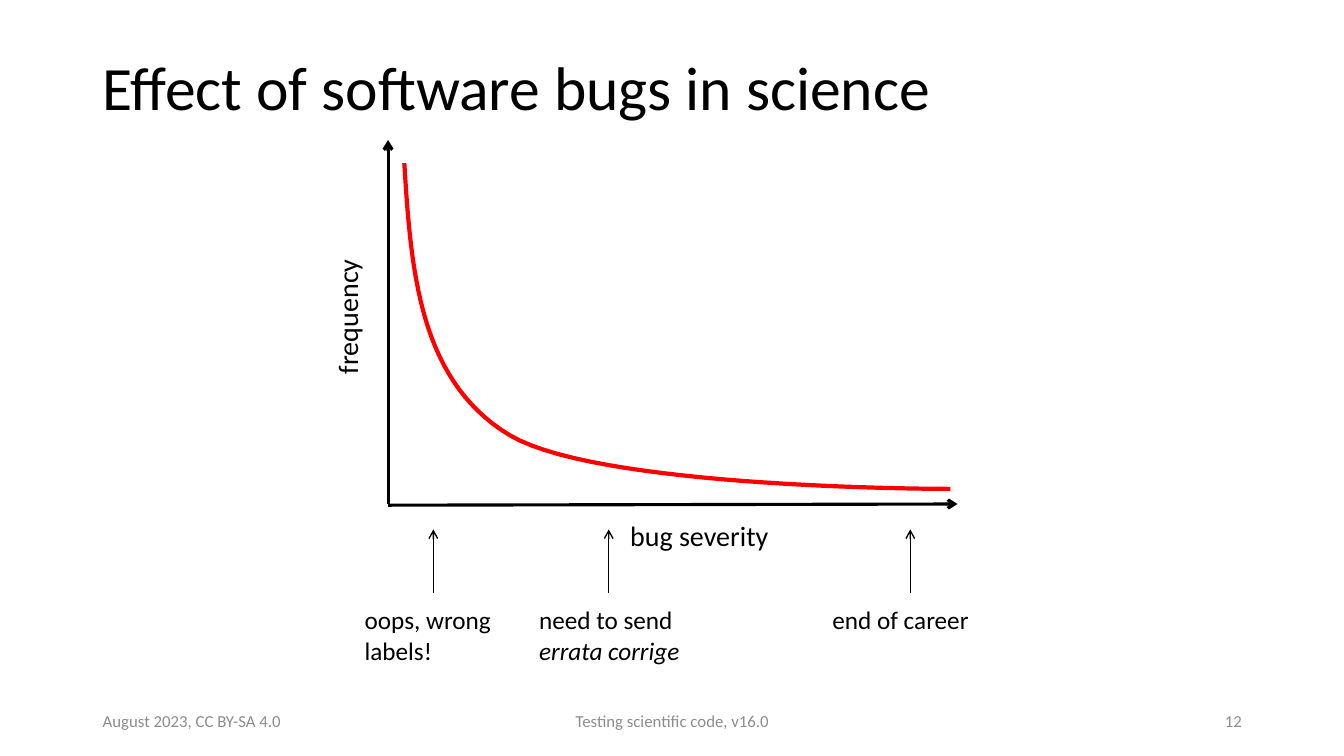
from lxml import etree
from pptx import Presentation
from pptx.dml.color import RGBColor
from pptx.enum.shapes import MSO_CONNECTOR
from pptx.enum.text import MSO_ANCHOR, PP_ALIGN
from pptx.oxml.ns import qn
from pptx.util import Cm, Pt

STRAIGHT = MSO_CONNECTOR.STRAIGHT
TOP, MIDDLE = MSO_ANCHOR.TOP, MSO_ANCHOR.MIDDLE
LEFT, CENTER, RIGHT = PP_ALIGN.LEFT, PP_ALIGN.CENTER, PP_ALIGN.RIGHT

FONT = "Calibri"
COLORS = {"text": "000000", "footer": "8C8C8C", "axis": "000000", "curve": "FF0000"}

FOOTERS = [
    ("August 2023, CC BY-SA 4.0", 2.34, 7.62, LEFT),
    ("Testing scientific code, v16.0", 11.23, 11.43, CENTER),
    ("12", 23.93, 7.62, RIGHT),
]
# Arrow x, label left, label width, label height, plain text, italic text
CONSEQUENCES = [
    (10.92, 8.94, 4.19, 1.8, "oops, wrong labels!", ""),
    (15.34, 13.34, 4.39, 1.8, "need to send ", "errata corrige"),
    (22.94, 20.73, 4.39, 1.02, "end of career", ""),
]
# Control points of two joined cubic Bézier segments
CURVE_SEGMENTS = [
    [(10.19, 4.11), (10.36, 6.86), (10.57, 9.6), (12.85, 10.97)],
    [(12.85, 10.97), (15.16, 12.34), (23.95, 12.32), (23.95, 12.32)],
]
CURVE_STEPS = 30


def color(name):
    return RGBColor.from_string(COLORS[name])


def add_text(slide, text, left, top, width, height, *, size, italic_text="",
             color_name="text", align=LEFT, anchor=TOP, rotation=0, line_spacing=None):
    """Add a text box, with optional italic words after the plain text."""
    shape = slide.shapes.add_textbox(Cm(left), Cm(top), Cm(width), Cm(height))
    shape.rotation = rotation
    frame = shape.text_frame
    frame.word_wrap = True
    frame.vertical_anchor = anchor
    paragraph = frame.paragraphs[0]
    paragraph.alignment = align
    paragraph.line_spacing = line_spacing
    for words, italic in ((text, None), (italic_text, True)):
        if words:
            run = paragraph.add_run()
            run.text = words
            run.font.name = FONT
            run.font.size = Pt(size)
            run.font.italic = italic
            run.font.color.rgb = color(color_name)


def add_arrow(slide, start, end, width):
    connector = slide.shapes.add_connector(STRAIGHT, *map(Cm, start + end))
    connector.line.color.rgb = color("axis")
    connector.line.width = Pt(width)
    line = connector.line._get_or_add_ln()
    etree.SubElement(line, qn("a:tailEnd"), type="arrow")
    etree.SubElement(connector._element.spPr, qn("a:effectLst"))


def bezier_point(controls, t):
    weights = ((1 - t) ** 3, 3 * t * (1 - t) ** 2, 3 * t ** 2 * (1 - t), t ** 3)
    return tuple(
        Cm(sum(weight * value for weight, value in zip(weights, axis)))
        for axis in zip(*controls)
    )


def add_curve(slide, segments):
    start = bezier_point(segments[0], 0)
    points = [
        bezier_point(controls, step / CURVE_STEPS)
        for controls in segments
        for step in range(1, CURVE_STEPS + 1)
    ]
    builder = slide.shapes.build_freeform(*start)
    builder.add_line_segments(points, close=False)
    shape = builder.convert_to_shape()
    shape.shadow.inherit = False
    shape.fill.background()
    shape.line.color.rgb = color("curve")
    shape.line.width = Pt(3)


def main():
    presentation = Presentation()
    presentation.slide_width = Cm(33.87)
    presentation.slide_height = Cm(19.05)
    slide = presentation.slides.add_slide(presentation.slide_layouts[6])

    add_text(slide, "Effect of software bugs in science", 2.34, 1.02, 29.21, 2.51,
             size=44, anchor=MIDDLE, line_spacing=0.9)
    for text, left, width, align in FOOTERS:
        add_text(slide, text, left, 17.65, width, 1.02, size=12,
                 color_name="footer", align=align, anchor=MIDDLE)

    add_arrow(slide, (9.78, 12.7), (9.78, 3.53), 2.25)
    add_arrow(slide, (9.78, 12.73), (24.13, 12.7), 2.25)
    add_text(slide, "frequency", 6.71, 7.42, 4.09, 1.12,
             size=20, align=CENTER, rotation=270)
    add_text(slide, "bug severity", 15.11, 12.93, 5.03, 1.12, size=20, align=CENTER)
    add_curve(slide, CURVE_SEGMENTS)

    for arrow_x, left, width, height, text, italic_text in CONSEQUENCES:
        add_arrow(slide, (arrow_x, 14.94), (arrow_x, 13.34), 1)
        add_text(slide, text, left, 15.11, width, height,
                 size=18, italic_text=italic_text)

    presentation.save("out.pptx")


if __name__ == "__main__":
    main()
